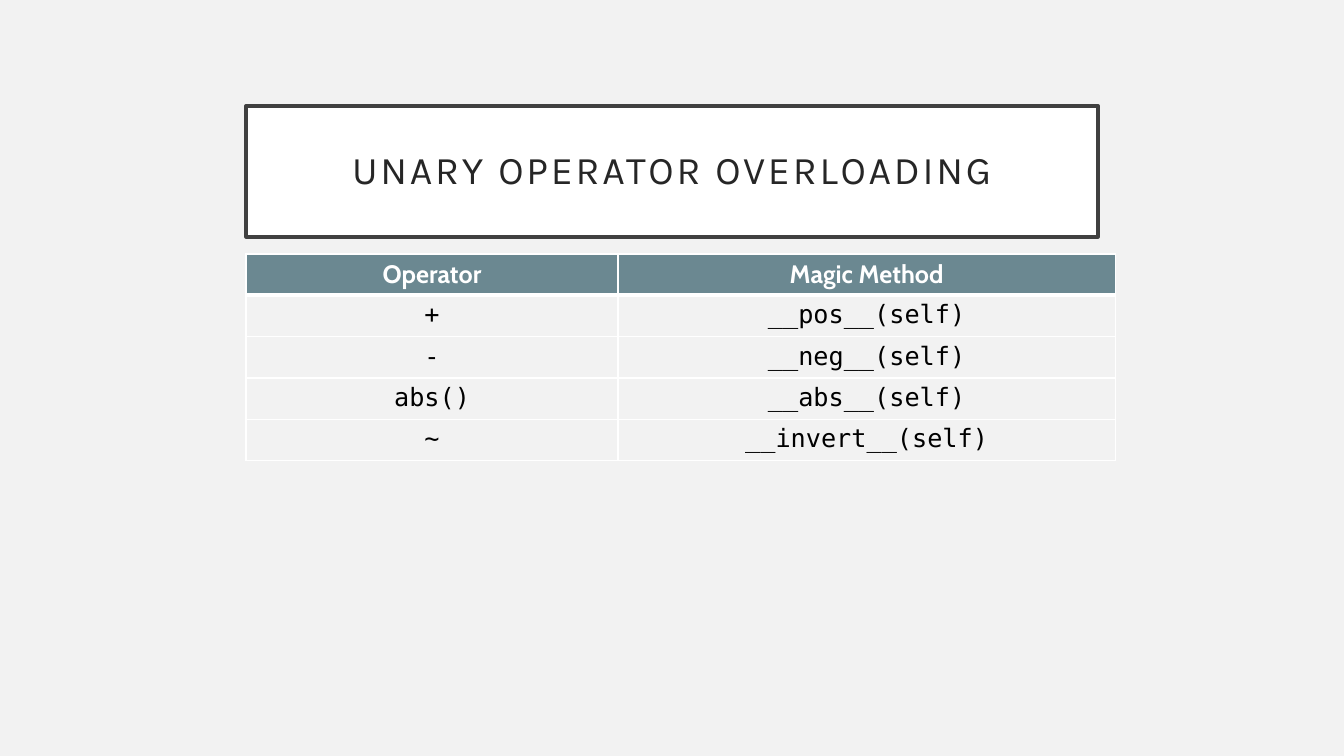
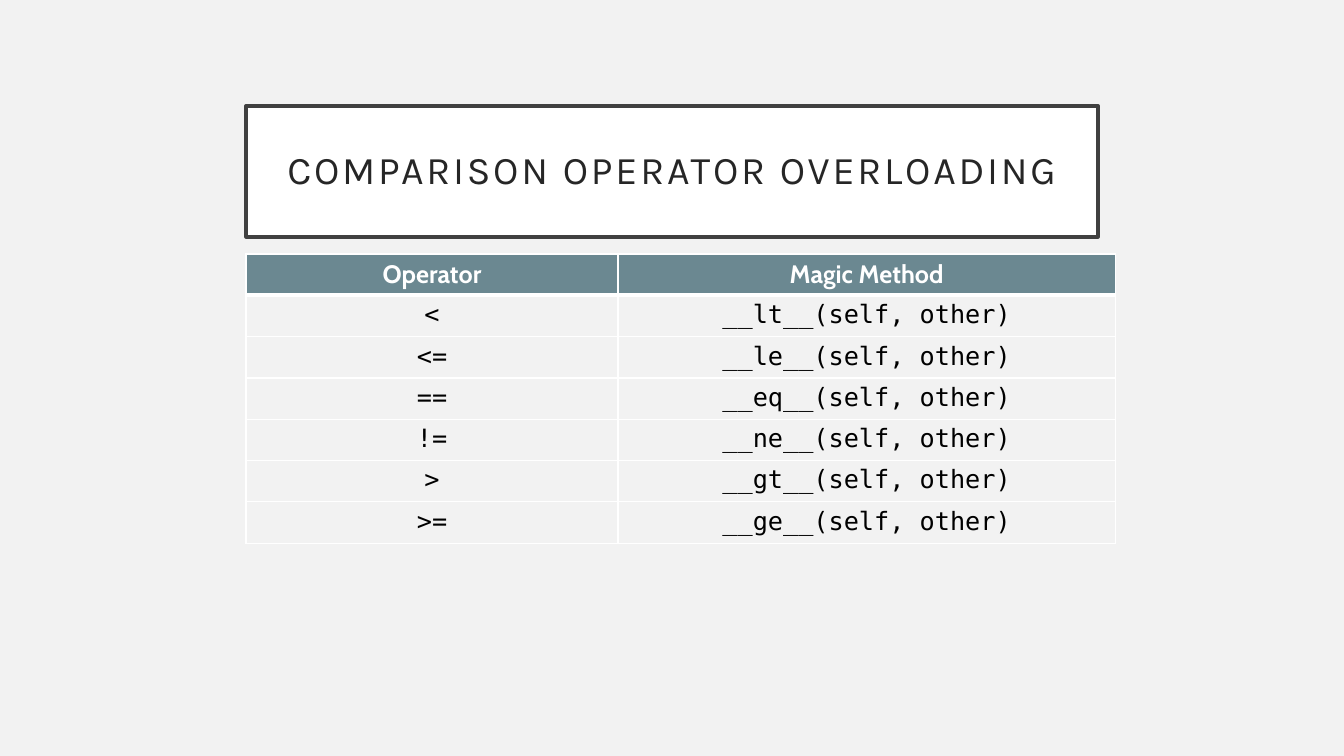
from dataclasses import dataclass

from lxml import etree
from pptx import Presentation
from pptx import util as u
from pptx.dml.color import RGBColor
from pptx.enum import text
from pptx.oxml.ns import qn


@dataclass(frozen=True)
class Theme:
    # Colours
    paper: str = "F2F2F2"
    white: str = "FFFFFF"
    frame: str = "404040"
    title_ink: str = "262626"
    header: str = "6B8891"
    code_ink: str = "000000"
    # Fonts
    title_font: str = "Karla"
    header_font: str = "Cabin"
    code_font: str = "DejaVu Sans Mono"
    # Sizes in points
    title_size: float = 28
    title_spacing: float = 2
    table_size: float = 18
    frame_width: float = 2.5
    rule: float = 1
    header_rule: float = 3


THEME = Theme()

# Boxes in inches: left, top, width, height
TITLE_BOX = (2.44, 1.05, 8.45, 1.3)
TABLE_BOX = (2.44, 2.52, 8.62, 0.41)  # the height is that of one row
OPERATOR_WIDTH = 3.69

HEADINGS = ("Operator", "Magic Method")
SLIDES = {
    "UNARY OPERATOR OVERLOADING": [
        ("+", "__pos__(self)"),
        ("-", "__neg__(self)"),
        ("abs()", "__abs__(self)"),
        ("~", "__invert__(self)"),
    ],
    "COMPARISON OPERATOR OVERLOADING": [
        ("<", "__lt__(self, other)"),
        ("<=", "__le__(self, other)"),
        ("==", "__eq__(self, other)"),
        ("!=", "__ne__(self, other)"),
        (">", "__gt__(self, other)"),
        (">=", "__ge__(self, other)"),
    ],
}


def set_all(target, values):
    for name, value in values.items():
        setattr(target, name, value)


def paint(fill, colour):
    fill.solid()
    fill.fore_color.rgb = RGBColor.from_string(colour)


def write(frame, words, colour, **font):
    """Put one centred, formatted line into a text frame."""
    para = frame.paragraphs[0]
    para.alignment = text.PP_ALIGN.CENTER
    span = para.add_run()
    span.text = words
    set_all(span.font, font)
    span.font.color.rgb = RGBColor.from_string(colour)
    return para, span


def add_borders(cell, widths):
    """Rule the cell's sides; borders come before the fill in the XML."""
    props = cell._tc.get_or_add_tcPr()
    for place, (side, width) in enumerate(widths.items()):
        line = etree.Element(qn(f"a:ln{side}"), w=str(u.Pt(width)))
        solid = etree.SubElement(line, qn("a:solidFill"))
        etree.SubElement(solid, qn("a:srgbClr"), val=THEME.white)
        props.insert(place, line)


def place_title(page, box, words):
    """Framed title panel in the title placeholder."""
    title = page.shapes.title
    set_all(title, dict(zip(("left", "top", "width", "height"), map(u.Inches, box))))
    paint(title.fill, THEME.white)
    paint(title.line.fill, THEME.frame)
    title.line.width = u.Pt(THEME.frame_width)

    frame = title.text_frame
    sides = ("left", "top", "right", "bottom")
    set_all(frame, {f"margin_{side}": u.Inches(0.2) for side in sides})
    set_all(frame, {
        "word_wrap": True,
        "auto_size": text.MSO_AUTO_SIZE.NONE,
        "vertical_anchor": text.MSO_ANCHOR.MIDDLE,
    })
    para, span = write(frame, words, THEME.title_ink,
                       name=THEME.title_font, size=u.Pt(THEME.title_size))
    para.line_spacing = 0.9
    span.font._element.set("spc", str(int(THEME.title_spacing * 100)))


def place_table(page, box, rows):
    """Operator table: a filled heading row above open code rows."""
    left, top, width, row_height = box
    lines = [HEADINGS, *rows]
    table = page.shapes.add_table(
        len(lines), len(HEADINGS),
        *map(u.Inches, (left, top, width, row_height * len(lines))),
    ).table
    table.horz_banding = False
    for column, size in zip(table.columns, (OPERATOR_WIDTH, width - OPERATOR_WIDTH)):
        column.width = u.Inches(size)

    for row, line in enumerate(lines):
        table.rows[row].height = u.Inches(row_height)
        heading = row == 0
        colour = THEME.white if heading else THEME.code_ink
        font = {
            "name": THEME.header_font if heading else THEME.code_font,
            "size": u.Pt(THEME.table_size),
            "bold": heading,
        }
        borders = dict.fromkeys("LRTB", THEME.rule)
        if heading:
            borders["B"] = THEME.header_rule
        elif row == 1:
            borders["T"] = THEME.header_rule

        for column, words in enumerate(line):
            cell = table.cell(row, column)
            if heading:
                paint(cell.fill, THEME.header)
            else:
                cell.fill.background()
            add_borders(cell, borders)
            write(cell.text_frame, words, colour, **font)


def add_operator_slide(deck, title, rows):
    page = deck.slides.add_slide(deck.slide_layouts.get_by_name("Title Only"))
    place_title(page, TITLE_BOX, title)
    place_table(page, TABLE_BOX, rows)


def main():
    deck = Presentation()
    set_all(deck, {"slide_width": u.Inches(13.33), "slide_height": u.Inches(7.5)})
    paint(deck.slide_master.background.fill, THEME.paper)
    for title, rows in SLIDES.items():
        add_operator_slide(deck, title, rows)
    deck.save("out.pptx")


if __name__ == "__main__":
    main()
